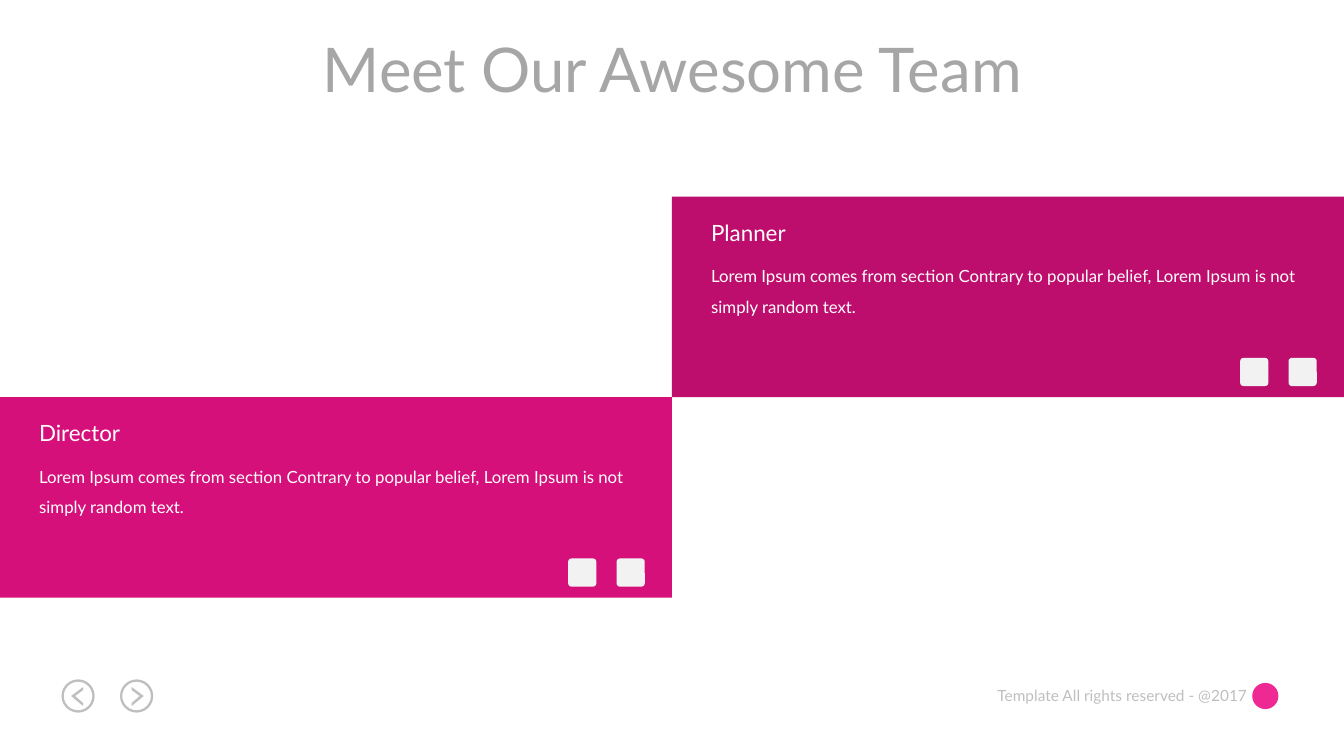
from pptx import Presentation
from pptx.dml.color import RGBColor
from pptx.enum.shapes import MSO_SHAPE
from pptx.enum.text import MSO_ANCHOR, MSO_AUTO_SIZE, PP_ALIGN
from pptx.util import Inches, Pt

RECT, ROUNDED = MSO_SHAPE.RECTANGLE, MSO_SHAPE.ROUNDED_RECTANGLE
OVAL, DONUT = MSO_SHAPE.OVAL, MSO_SHAPE.DONUT
LEFT, CENTER, RIGHT = PP_ALIGN.LEFT, PP_ALIGN.CENTER, PP_ALIGN.RIGHT
TOP, NO_FIT = MSO_ANCHOR.TOP, MSO_AUTO_SIZE.NONE

WHITE = RGBColor(0xFF, 0xFF, 0xFF)
ICON = RGBColor(0xF2, 0xF2, 0xF2)
TITLE_GRAY = RGBColor(0xA6, 0xA6, 0xA6)
FOOTER_GRAY = RGBColor(0xBF, 0xBF, 0xBF)
MAGENTA = RGBColor(0xD6, 0x10, 0x7B)
DARK_MAGENTA = RGBColor(0xBE, 0x0E, 0x6D)
PINK = RGBColor(0xEF, 0x29, 0x94)

FONT = "Lato"
SLIDE_W, SLIDE_H = 13.33, 7.5
CARD_W, CARD_H = SLIDE_W / 2, 1.99
CARD_TOP = 1.95
BIO = ("Lorem Ipsum comes from section Contrary to popular belief, "
       "Lorem Ipsum is not simply random text.")


def put_text(sp, text, size, color, align=LEFT, wrap=False, spacing=None):
    tf = sp.text_frame
    tf.word_wrap = wrap
    tf.auto_size = NO_FIT
    tf.vertical_anchor = TOP
    p = tf.paragraphs[0]
    p.alignment = align
    if spacing:
        p.line_spacing = spacing
    r = p.add_run()
    r.text = text
    r.font.name = FONT
    r.font.size = Pt(size)
    r.font.color.rgb = color


def add_text(s, x, y, w, h, text, **fmt):
    sp = s.shapes.add_textbox(Inches(x), Inches(y), Inches(w), Inches(h))
    put_text(sp, text, **fmt)


def paint(sp, color):
    sp.shadow.inherit = False
    sp.fill.solid()
    sp.fill.fore_color.rgb = color
    sp.line.fill.background()


def add_block(s, kind, x, y, w, h, color):
    sp = s.shapes.add_shape(kind, Inches(x), Inches(y), Inches(w), Inches(h))
    paint(sp, color)
    return sp


def add_title(s, x, y, w, h, text):
    sp = s.shapes.title
    sp.left, sp.top, sp.width, sp.height = map(Inches, (x, y, w, h))
    put_text(sp, text, size=44, color=TITLE_GRAY, align=CENTER)


def add_card(s, x, y, w, h, role, color):
    add_block(s, RECT, x, y, w, h, color)
    add_text(s, x + 0.29, y + 0.17, 1.03, 0.37, role, size=16, color=WHITE)
    add_text(s, x + 0.29, y + 0.54, w - 0.57, 0.71, BIO,
             size=12, color=WHITE, wrap=True, spacing=1.5)
    # Plain tiles for the two social links
    for right in (1.03, 0.55):
        tile = add_block(s, ROUNDED, x + w - right, y + h - 0.39,
                         0.28, 0.28, ICON)
        tile.adjustments[0] = 0.12


def add_nav_button(s, x, y, size, direction):
    """Ring with a chevron; direction is -1 for back and 1 for forward."""
    ring = add_block(s, DONUT, x, y, size, size, FOOTER_GRAY)
    ring.adjustments[0] = 0.07
    cx, cy = x + size / 2 + direction * 0.01, y + size / 2
    chevron = [(-0.06, -0.06), (0.02, 0), (-0.06, 0.07),
               (-0.06, 0.1), (0.06, 0), (-0.06, -0.09)]
    points = [(Inches(cx + direction * dx), Inches(cy + dy))
              for dx, dy in chevron]
    fb = s.shapes.build_freeform(*points[0])
    fb.add_line_segments(points[1:], close=True)
    paint(fb.convert_to_shape(), FOOTER_GRAY)


def add_footer(s, x, y, w, h):
    for i, direction in enumerate((-1, 1)):
        add_nav_button(s, x + i * 0.58, y + (h - 0.33) / 2, 0.33, direction)
    add_text(s, x + w - 2.94, y + 0.02, 2.73, 0.29,
             "Template All rights reserved - @2017",
             size=11, color=FOOTER_GRAY, align=RIGHT)
    # Plain brand mark
    add_block(s, OVAL, x + w - 0.26, y + (h - 0.26) / 2, 0.26, 0.26, PINK)


def main():
    prs = Presentation()
    prs.slide_width, prs.slide_height = Inches(SLIDE_W), Inches(SLIDE_H)
    s = prs.slides.add_slide(prs.slide_layouts[5])

    add_title(s, 2.81, 0.26, 7.72, 0.84, "Meet Our Awesome Team")
    # Cards step diagonally, meeting at the slide's centre line
    add_card(s, 0, CARD_TOP + CARD_H, CARD_W, CARD_H, "Director", MAGENTA)
    add_card(s, CARD_W, CARD_TOP, CARD_W, CARD_H, "Planner", DARK_MAGENTA)
    add_footer(s, 0.61, 6.74, 12.07, 0.33)

    prs.save("out.pptx")


if __name__ == "__main__":
    main()
